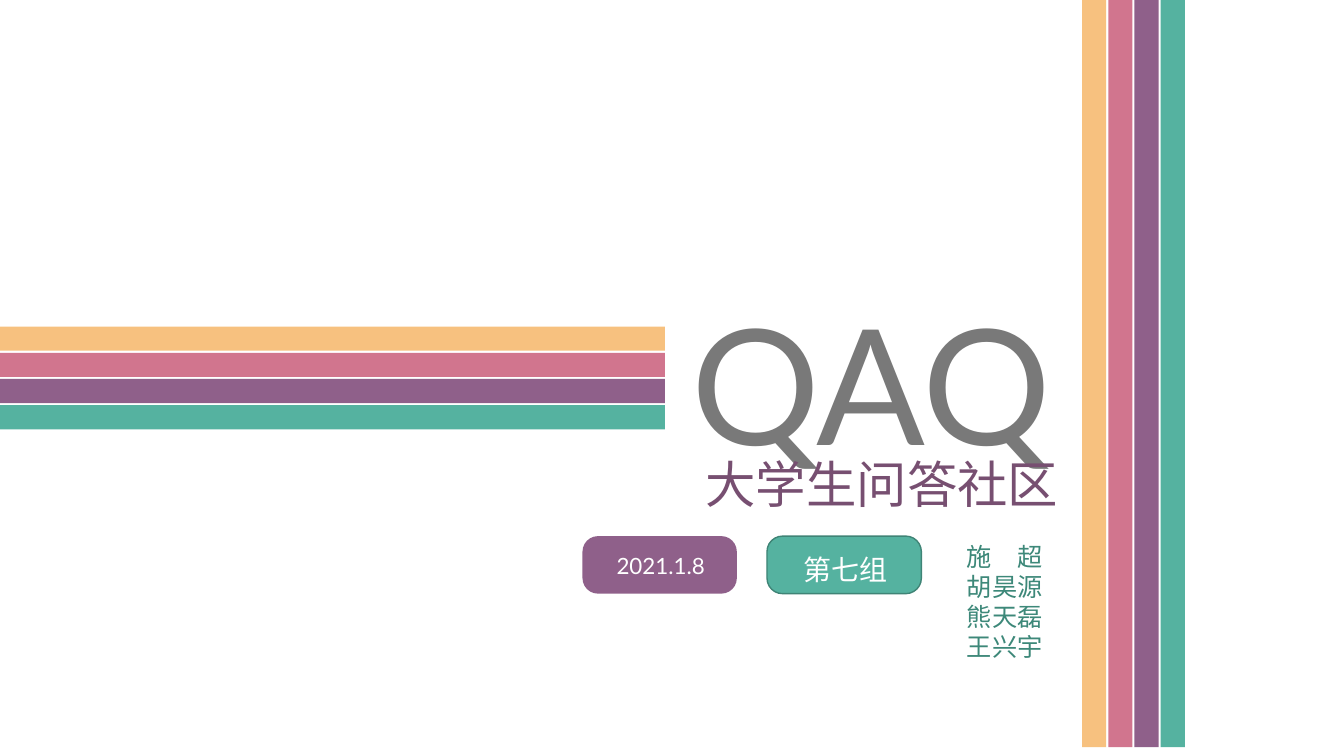
from lxml.etree import SubElement
from pptx import Presentation
from pptx.dml.color import RGBColor
from pptx.enum.shapes import MSO_SHAPE as Kind
from pptx.enum.text import MSO_ANCHOR as Anchor, PP_ALIGN as Align
from pptx.oxml.ns import qn
from pptx.util import Cm, Pt

GOLD = RGBColor(0xF7, 0xC1, 0x7F)
ROSE = RGBColor(0xD1, 0x75, 0x8E)
PLUM = RGBColor(0x8F, 0x60, 0x8A)
TEAL = RGBColor(0x55, 0xB2, 0xA0)
EDGE = RGBColor(0x3F, 0x84, 0x76)
GREY = RGBColor(0x79, 0x79, 0x79)
WINE = RGBColor(0x77, 0x4F, 0x71)
PINE = RGBColor(0x3D, 0x88, 0x79)
WHITE = RGBColor(0xFF, 0xFF, 0xFF)
BANDS = (GOLD, ROSE, PLUM, TEAL)
THICK, STEP = 0.61, 0.66
LATO, NOTO = "Lato", "Noto Sans CJK SC"


def place(box):
    """Turn a box in centimetres into lengths."""
    return [Cm(v) for v in box]


def style(item, fmt):
    """Set each attribute of an object from a dict."""
    for key, val in fmt.items():
        setattr(item, key, val)


def write(shape, lines, size, color, align, face=LATO, anchor=Anchor.TOP):
    """Fill a shape with formatted lines of text."""
    frame = shape.text_frame
    style(frame, {"text": "\n".join(lines), "word_wrap": True,
                  "vertical_anchor": anchor})
    for para in frame.paragraphs:
        para.alignment = align
        run = para.runs[0]
        style(run.font, {"name": face, "size": Pt(size), "bold": False})
        run.font.color.rgb = color
        SubElement(run.font._element, qn("a:ea"), typeface=face)


def block(shapes, kind, box, color, edge=None):
    """Add a filled shape with an optional outline."""
    shape = shapes.add_shape(kind, *place(box))
    shape.shadow.inherit = False
    shape.fill.solid()
    shape.fill.fore_color.rgb = color
    if edge is None:
        shape.line.fill.background()
    else:
        shape.line.color.rgb = edge
        shape.line.width = Pt(1)
    return shape


def stripes(slide, box, upright=False):
    """Stack the colour bands down or across a box."""
    left, top, width, height = box
    group = slide.shapes.add_group_shape()
    for i, color in enumerate(BANDS):
        move = i * STEP
        band = ((left + move, top, THICK, height) if upright
                else (left, top + move, width, THICK))
        block(group.shapes, Kind.RECTANGLE, band, color)


def badge(slide, box, text, size, color, edge=None):
    """Add a rounded badge with its label."""
    left, top, width, height = box
    group = slide.shapes.add_group_shape()
    plate = block(group.shapes, Kind.ROUNDED_RECTANGLE, box, color, edge)
    plate.adjustments[0] = 0.27
    label = group.shapes.add_textbox(
        *place((left + 0.18, top + 0.28, width - 0.31, height - 0.4)))
    write(label, [text], size, WHITE, Align.CENTER)


def heading(slide, box):
    """Place the title and the line below it."""
    left, top, width, height = box
    title = slide.shapes.title
    style(title, dict(zip(("left", "top", "width", "height"), place(box))))
    write(title, ["QAQ"], 115, GREY, Align.CENTER)
    sub = slide.shapes.add_textbox(
        *place((left - 5.49, top + 4.24, width + 4.62, 1.8)))
    write(sub, ["大学生问答社区"], 36, WINE, Align.RIGHT, NOTO, Anchor.MIDDLE)


def credits(slide, box):
    """Place the date, the team and its members in a row."""
    left, top, width, height = box
    badge(slide, (left + 4.65, top, 3.89, 1.45), "第七组", 20, TEAL, EDGE)
    names = slide.shapes.add_textbox(
        *place((left + width - 2.59, top, 2.59, height)))
    write(names, ["施　超", "胡昊源", "熊天磊", "王兴宇"], 18, PINE, Align.RIGHT)
    badge(slide, (left, top, 3.89, 1.45), "2021.1.8", 16, PLUM)


def main():
    """Build the cover slide and save it."""
    deck = Presentation()
    style(deck, {"slide_width": Cm(33.87), "slide_height": Cm(19.05)})
    slide = deck.slides.add_slide(deck.slide_layouts[5])
    stripes(slide, (0, 8.23, 16.76, 2.59))
    heading(slide, (16.13, 7.04, 11.66, 5.18))
    stripes(slide, (27.27, 0, 2.59, 18.83), upright=True)
    credits(slide, (14.68, 13.51, 11.84, 3.33))
    deck.save("out.pptx")


if __name__ == "__main__":
    main()
